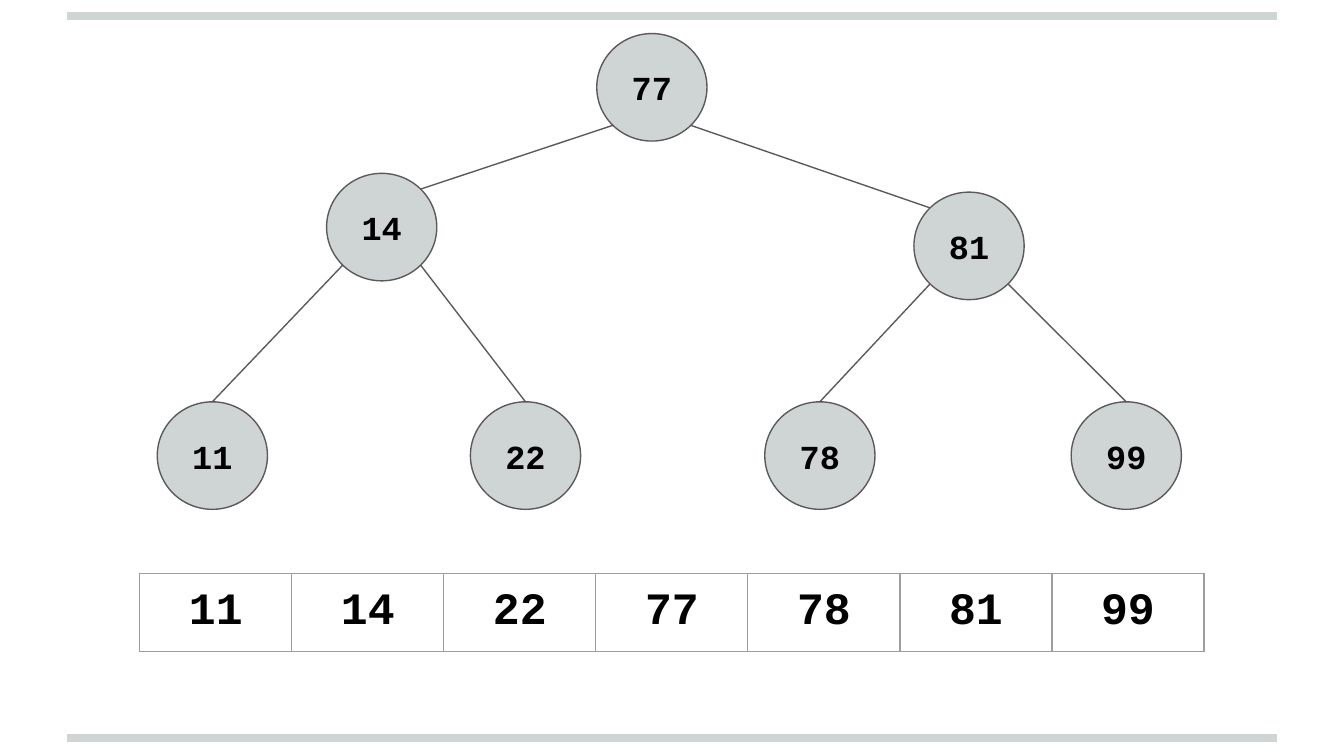
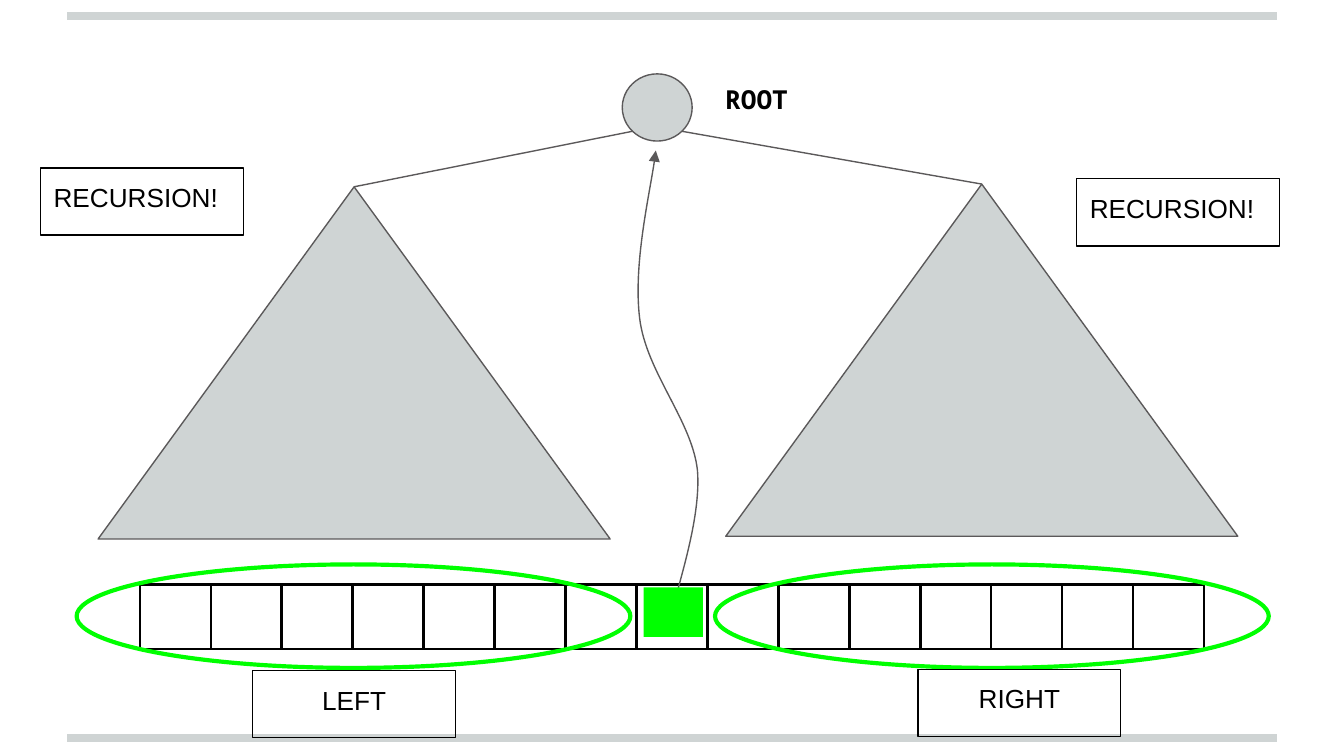
from math import cos, pi

from lxml.etree import SubElement
from pptx import Presentation
from pptx.dml.color import RGBColor
from pptx.enum.shapes import MSO_CONNECTOR, MSO_SHAPE
from pptx.enum.text import MSO_ANCHOR, PP_ALIGN
from pptx.oxml.ns import qn
from pptx.util import Pt

SCALE = 9144
GREY, OUTLINE, BLACK, GREEN = "CFD4D4", "5B595A", "000000", "00FF00"
CELL_GREY = "9E9E9E"
NODE_SIZE = (82, 80)
TABLE_LEFT, TABLE_WIDTH = 104, 792


def px(length):
    """Turn px into EMU."""
    return int(length * SCALE)


def rgb(value):
    """Turn a hex string into a colour."""
    return RGBColor.from_string(value)


def write(frame, text, size, font, bold=False, align=PP_ALIGN.CENTER, anchor=MSO_ANCHOR.MIDDLE):
    """Fill a text frame with one formatted paragraph."""
    frame.word_wrap = True
    frame.vertical_anchor = anchor
    frame.margin_left = frame.margin_right = px(10)
    frame.margin_top = frame.margin_bottom = px(10)
    style_paragraph(frame.paragraphs[0], text, size, font, bold, align)


def style_paragraph(para, text, size, font, bold, align):
    """Set the text, alignment and font of a paragraph."""
    para.text = text
    para.alignment = align
    para.font.size = Pt(size)
    para.font.name = font
    para.font.bold = bold
    para.font.color.rgb = rgb(BLACK)


def paint(shape, fill=None, line=None, weight=0.75):
    """Set the fill and outline of a shape, without shadow."""
    shape.shadow.inherit = False
    if fill:
        shape.fill.solid()
        shape.fill.fore_color.rgb = rgb(fill)
    else:
        shape.fill.background()
    if line:
        shape.line.color.rgb = rgb(line)
        shape.line.width = Pt(weight)
    else:
        shape.line.fill.background()


def add_figure(slide, kind, left, top, width, height, fill=None, line=None, weight=0.75):
    """Add a preset shape."""
    shape = slide.shapes.add_shape(kind, px(left), px(top), px(width), px(height))
    paint(shape, fill, line, weight)
    return shape


def add_line(slide, start, end, color=OUTLINE, weight=0.75):
    """Add a straight line between two points in EMU."""
    line = slide.shapes.add_connector(MSO_CONNECTOR.STRAIGHT, *start, *end)
    line.line.color.rgb = rgb(color)
    line.line.width = Pt(weight)
    SubElement(line.element.spPr, qn("a:effectLst"))
    return line


def diagonal_point(ellipse, side, rise):
    """Find the 45 degree point of an ellipse; side and rise are -1 or 1."""
    reach = (1 + side * cos(pi / 4)) / 2, (1 + rise * cos(pi / 4)) / 2
    return int(ellipse.left + ellipse.width * reach[0]), int(ellipse.top + ellipse.height * reach[1])


def link_to_top(slide, parent, child, side):
    """Join a parent's lower side to the top of a child."""
    start = diagonal_point(parent, side, 1)
    add_line(slide, start, start).end_connect(child, 0)


def link_to_shoulder(slide, parent, child, side):
    """Join a parent's lower side to the facing shoulder of a child."""
    add_line(slide, diagonal_point(parent, side, 1), diagonal_point(child, -side, -1))


def add_node(slide, text, left, top):
    """Add a numbered tree node."""
    node = add_figure(slide, MSO_SHAPE.OVAL, left, top, *NODE_SIZE, GREY, OUTLINE)
    write(node.text_frame, text, 18, "Courier New", True)
    return node


def add_label(slide, text, left, top, align=PP_ALIGN.CENTER):
    """Add an outlined label."""
    box = add_figure(slide, MSO_SHAPE.RECTANGLE, left, top, 151, 50, line=BLACK)
    write(box.text_frame, text, 14, "Arial", False, align, MSO_ANCHOR.TOP)


def add_border(cell, color, weight):
    """Draw all four borders of a table cell."""
    properties = cell._tc.get_or_add_tcPr()
    for side in ("a:lnL", "a:lnR", "a:lnT", "a:lnB"):
        edge = SubElement(properties, qn(side), w=str(int(Pt(weight))))
        SubElement(SubElement(edge, qn("a:solidFill")), qn("a:srgbClr"), val=color)


def add_array(slide, values, top, height, color, weight, size, font):
    """Add a one-row table that holds an array."""
    frame = slide.shapes.add_table(1, len(values), px(TABLE_LEFT), px(top), px(TABLE_WIDTH), px(height))
    table = frame.table
    table.first_row = table.horz_banding = False
    for column, cell, value in zip(table.columns, table.rows[0].cells, values):
        column.width = px(TABLE_WIDTH) // len(values)
        add_border(cell, color, weight)
        cell.fill.background()
        cell.margin_left = cell.margin_right = px(10)
        cell.margin_top = cell.margin_bottom = px(10)
        style_paragraph(cell.text_frame.paragraphs[0], value, size, font, bool(value), PP_ALIGN.CENTER)


def add_curved_arrow(slide, start, curves):
    """Add an open Bezier arrow; each curve is two controls and an end."""
    builder = slide.shapes.build_freeform(*start, scale=SCALE)
    ends = [curve[-1] for curve in curves]
    builder.add_line_segments(ends, close=False)
    arrow = builder.convert_to_shape()
    paint(arrow, line=OUTLINE)
    left = min(x for x, _ in [start, *ends])
    top = min(y for _, y in [start, *ends])
    for segment, curve in zip(list(arrow.element.iter(qn("a:lnTo"))), curves):
        bezier = SubElement(segment.getparent(), qn("a:cubicBezTo"))
        for x, y in curve:
            SubElement(bezier, qn("a:pt"), x=str(x - left), y=str(y - top))
        segment.getparent().replace(segment, bezier)
    SubElement(arrow.element.spPr.find(qn("a:ln")), qn("a:tailEnd"), type="triangle")


def add_layout_bands(layout, slide):
    """Put the bottom and top bands on the shared layout."""
    for y in (549, 12):
        band = add_line(slide, (px(50), px(y)), (px(950), px(y)), GREY, 4)
        layout.shapes.element.append(band.element)


def build_search_tree(slide):
    """Draw the search tree above its sorted array."""
    values = ["11", "14", "22", "77", "78", "81", "99"]
    add_array(slide, values, 427, 58, CELL_GREY, 0.75, 24, "Courier New")
    root = add_node(slide, "77", 444, 25)
    branches = [
        (-1, ("14", 243, 129), ("11", 117), ("22", 350)),
        (1, ("81", 680, 143), ("78", 569), ("99", 797)),
    ]
    for side, inner, *leaves in branches:
        branch = add_node(slide, *inner)
        link_to_shoulder(slide, root, branch, side)
        for leaf_side, (text, left) in zip((-1, 1), leaves):
            link_to_top(slide, branch, add_node(slide, text, left, 299), leaf_side)


def build_recursion(slide):
    """Draw the array halves that become the subtrees of the root."""
    add_array(slide, [""] * 15, 435, 48, BLACK, 1.5, 18, "Arial")
    root = add_figure(slide, MSO_SHAPE.OVAL, 463, 55, 52, 50, GREY, OUTLINE)
    add_curved_arrow(slide, (500, 457), [
        [(503, 439), (522, 387), (519, 350)],
        [(515, 313), (481, 277), (476, 237)],
        [(471, 197), (486, 133), (488, 112)],
    ])
    for ring_left in (57, 532):
        add_figure(slide, MSO_SHAPE.OVAL, ring_left, 420, 412, 77, line=GREEN, weight=2.25)
    title = slide.shapes.add_textbox(px(521), px(46), px(84), px(55))
    write(title.text_frame, "ROOT", 14, "Noto Sans Mono", True)
    add_figure(slide, MSO_SHAPE.RECTANGLE, 479, 437, 44, 37, GREEN)
    for side, left, top in ((-1, 73, 139), (1, 540, 137)):
        subtree = add_figure(slide, MSO_SHAPE.ISOSCELES_TRIANGLE, left, top, 381, 262, GREY, OUTLINE)
        link_to_top(slide, root, subtree, side)
    add_label(slide, "RECURSION!", 30, 125, PP_ALIGN.LEFT)
    add_label(slide, "RECURSION!", 801, 133, PP_ALIGN.LEFT)
    add_label(slide, "LEFT", 188, 499)
    add_label(slide, "RIGHT", 683, 498)


def main():
    """Build and save the deck."""
    deck = Presentation()
    deck.slide_width = px(1000)
    deck.slide_height = deck.slide_width * 9 // 16
    layout = deck.slide_layouts[6]
    pages = [deck.slides.add_slide(layout) for _ in range(2)]
    add_layout_bands(layout, pages[0])
    build_search_tree(pages[0])
    build_recursion(pages[1])
    deck.save("out.pptx")


if __name__ == "__main__":
    main()
